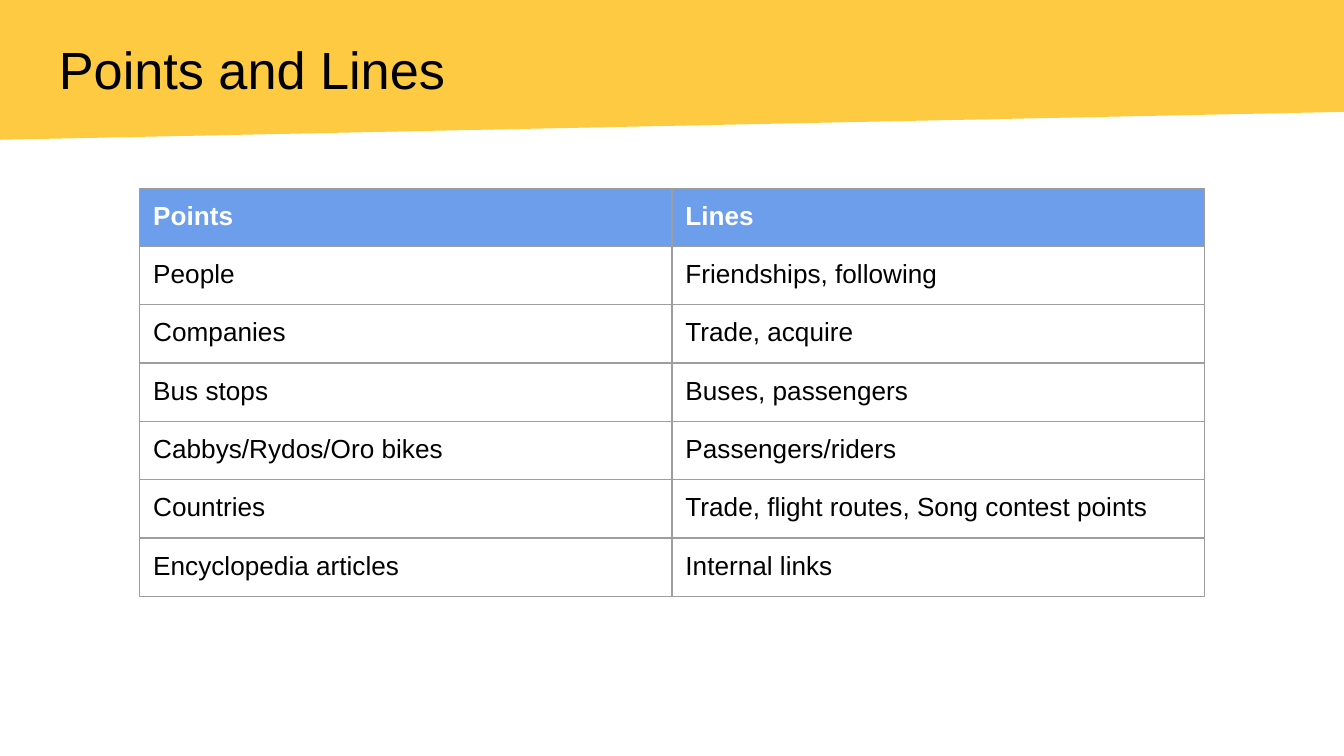
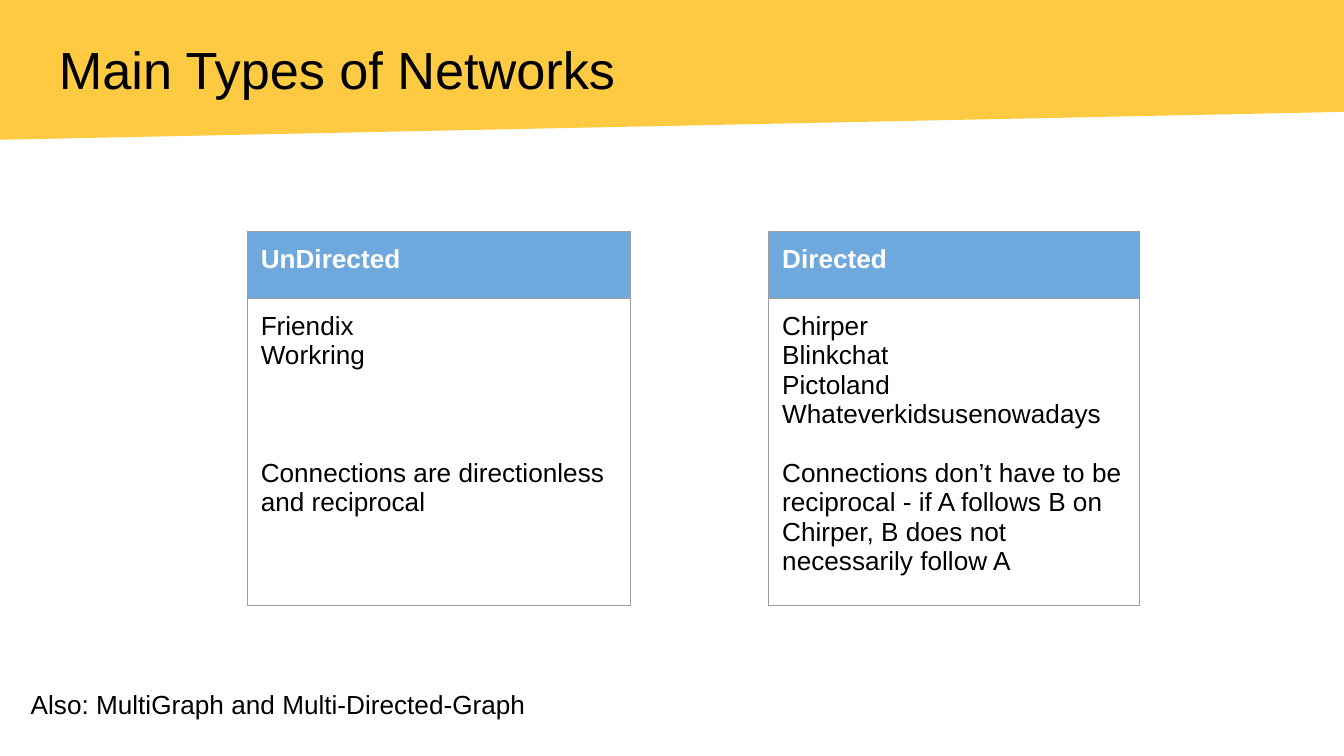
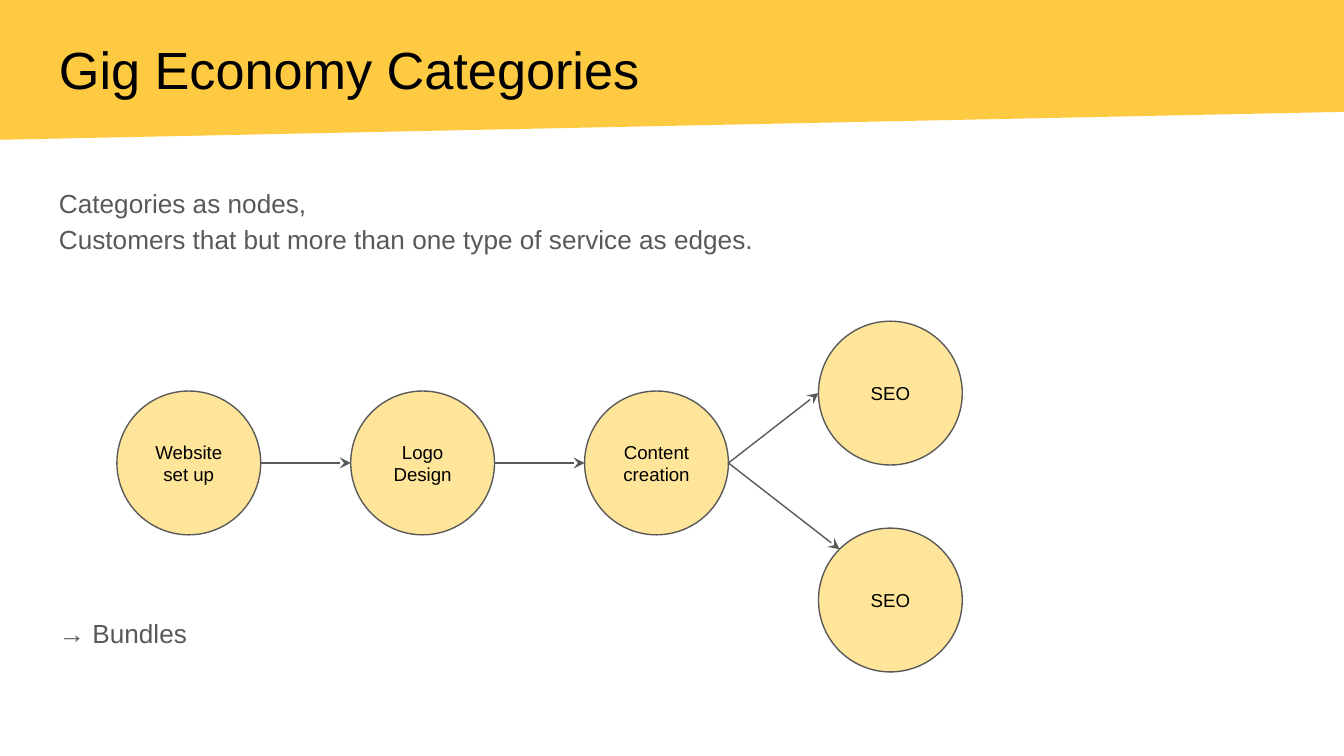
from math import sqrt

from lxml import etree
from pptx import Presentation, util as u
from pptx.dml.color import RGBColor
from pptx.enum import shapes as s, text as t
from pptx.oxml import ns

GOLD, CREAM, WHITE, BLACK = "FECA42", "FFE599", "FFFFFF", "000000"
GRAY, RULE, BLUE, SKY = "595959", "9E9E9E", "6D9EEB", "6FA8DC"
FONT = "Arial"
INSET = 0.1
THIN = u.Pt(0.75)
LINE = 15.7  # height in points of one 14 pt line

PAIRS = [
    ("Points", "Lines"),
    ("People", "Friendships, following"),
    ("Companies", "Trade, acquire"),
    ("Bus stops", "Buses, passengers"),
    ("Cabbys/Rydos/Oro bikes", "Passengers/riders"),
    ("Countries", "Trade, flight routes, Song contest points"),
    ("Encyclopedia articles", "Internal links"),
]
TYPES = [
    ("UnDirected", None, "Directed"),
    (
        ["Friendix", "Workring", "Connections are directionless and reciprocal"],
        None,
        ["Chirper", "Blinkchat", "Pictoland", "Whateverkidsusenowadays",
         "Connections don’t have to be reciprocal - if A follows B on "
         "Chirper, B does not necessarily follow A"],
    ),
]


def color(code):
    return RGBColor.from_string(code)


def inches(*vals):
    return [u.Inches(v) for v in vals]


def paint(shape, code):
    shape.fill.solid()
    shape.fill.fore_color.rgb = color(code)


def write(frame, lines, size=14, ink=BLACK, bold=False, gap=0, **form):
    """Fill a frame with paragraphs; gap is the space before the last one."""
    lines = [lines] if isinstance(lines, str) else lines
    for i, line in enumerate(lines):
        para = frame.paragraphs[0] if i == 0 else frame.add_paragraph()
        para.text = line
        for key, val in form.items():
            setattr(para, key, val)
        looks = {"name": FONT, "size": u.Pt(size), "bold": bold}
        for run in para.runs:
            for key, val in looks.items():
                setattr(run.font, key, val)
            run.font.color.rgb = color(ink)
    if gap:
        para.space_before = u.Pt(gap)


def pad(item, top=INSET):
    sides = {"left": INSET, "top": top, "right": INSET, "bottom": INSET}
    for side, val in sides.items():
        setattr(item, "margin_" + side, u.Inches(val))


def note(slide, box, lines, top=INSET, **form):
    frame = slide.shapes.add_textbox(*inches(*box)).text_frame
    frame.word_wrap = True
    pad(frame, top)
    write(frame, lines, **form)


def start(deck, title):
    """Add a slide with the slanted band and its title."""
    slide = deck.slides.add_slide(deck.slide_layouts[6])
    band = slide.shapes.add_shape(
        s.MSO_SHAPE.FLOWCHART_MANUAL_INPUT, *inches(-0.01, 0, 10.01, 1.04))
    band.rotation = 180
    band.shadow.inherit = False
    paint(band, GOLD)
    band.line.fill.background()
    note(slide, (0.34, 0.17, 9.32, 0.63), title, top=0.11, size=28)
    return slide


def edge(cell, shown):
    """Draw the borders of a cell on the shown sides only."""
    props = cell._tc.get_or_add_tcPr()
    for side in "LRTB":
        line = etree.SubElement(props, ns.qn("a:ln" + side), w=str(THIN))
        if side in shown:
            fill = etree.SubElement(line, ns.qn("a:solidFill"))
            etree.SubElement(fill, ns.qn("a:srgbClr"), val=RULE)
        else:
            etree.SubElement(line, ns.qn("a:noFill"))


def grid(slide, left, top, cols, rows, cells, head, gaps=None):
    """Add a table whose rows grow with their text.

    gaps gives the space before the last line of each column.
    """
    side = 3.28
    frame = slide.shapes.add_table(
        len(rows), len(cols), *inches(left, top, side, side))
    table = frame.table
    table.first_row = table.horz_banding = False
    for col, wide in zip(table.columns, cols):
        col.width = u.Inches(wide)
    for r, high in enumerate(rows):
        table.rows[r].height = u.Inches(high)
        for c, words in enumerate(cells[r]):
            cell = table.cell(r, c)
            pad(cell)
            edge(cell, "LRTB" if words else "LR")
            paint(cell, head if words and r == 0 else WHITE)
            if words:
                gap = gaps[c] if gaps and r else 0
                write(cell.text_frame, words, bold=r == 0, gap=gap,
                      ink=WHITE if r == 0 else BLACK)
    frame.width, frame.height = inches(side, side)


def node(slide, left, top, size, words):
    disc = slide.shapes.add_shape(
        s.MSO_SHAPE.OVAL, *inches(left, top, size, size))
    disc.shadow.inherit = False
    paint(disc, CREAM)
    disc.line.color.rgb = color(GRAY)
    disc.line.width = THIN
    frame = disc.text_frame
    frame.word_wrap = True
    frame.vertical_anchor = t.MSO_ANCHOR.MIDDLE
    pad(frame)
    write(frame, words, size=10, alignment=t.PP_ALIGN.CENTER)


def arrow(slide, tail, tip):
    link = slide.shapes.add_connector(
        s.MSO_CONNECTOR.STRAIGHT, *inches(*tail, *tip))
    link.line.color.rgb = color(GRAY)
    link.line.width = THIN
    etree.SubElement(link.line._get_or_add_ln(), ns.qn("a:tailEnd"),
                     type="stealth")
    etree.SubElement(link._element.spPr, ns.qn("a:effectLst"))


def flow(slide, left, top):
    """Chain three nodes, then branch to two more."""
    size, step = 1.07, 1.74
    rad = size / 2
    mid = top + 0.52
    spots = [(left + i * step, mid) for i in range(3)]
    spots += [(left + 3 * step, top), (left + 3 * step, top + 1.54)]
    names = ["Website set up", "Logo Design", ["Content", "creation"],
             "SEO", "SEO"]
    for spot, name in zip(spots, names):
        node(slide, *spot, size, name)
    for a, b in [(0, 1), (1, 2), (2, 3), (2, 4)]:
        x, y = spots[b]
        cut = rad * (1 - 1 / sqrt(2))
        tip = (x + cut, y + cut) if b == 4 else (x, y + rad)
        arrow(slide, (spots[a][0] + size, spots[a][1] + rad), tip)


def points(deck):
    slide = start(deck, "Points and Lines")
    grid(slide, 1.04, 1.4, [3.96] * 2, [0.41] * len(PAIRS), PAIRS, BLUE)


def types(deck):
    slide = start(deck, "Main Types of Networks")
    grid(slide, 1.84, 1.72, [2.85, 1.03, 2.76], [0.43, 0.42], TYPES, SKY,
         gaps=[3 * LINE, 0, LINE])
    note(slide, (0.13, 5.02, 5.15, 0.6),
         "Also: MultiGraph and Multi-Directed-Graph")


def gigs(deck):
    slide = start(deck, "Gig Economy Categories")
    note(slide, (0.34, 1.26, 9.32, 3.74),
         ["Categories as nodes,\vCustomers that but more than one type of "
          "service as edges.", "→ Bundles"],
         ink=GRAY, gap=192, line_spacing=1.15)
    flow(slide, 0.87, 2.39)


def main():
    deck = Presentation()
    deck.slide_width = u.Inches(10)
    deck.slide_height = deck.slide_width * 9 // 16
    for build in (points, types, gigs):
        build(deck)
    deck.save("out.pptx")


if __name__ == "__main__":
    main()
